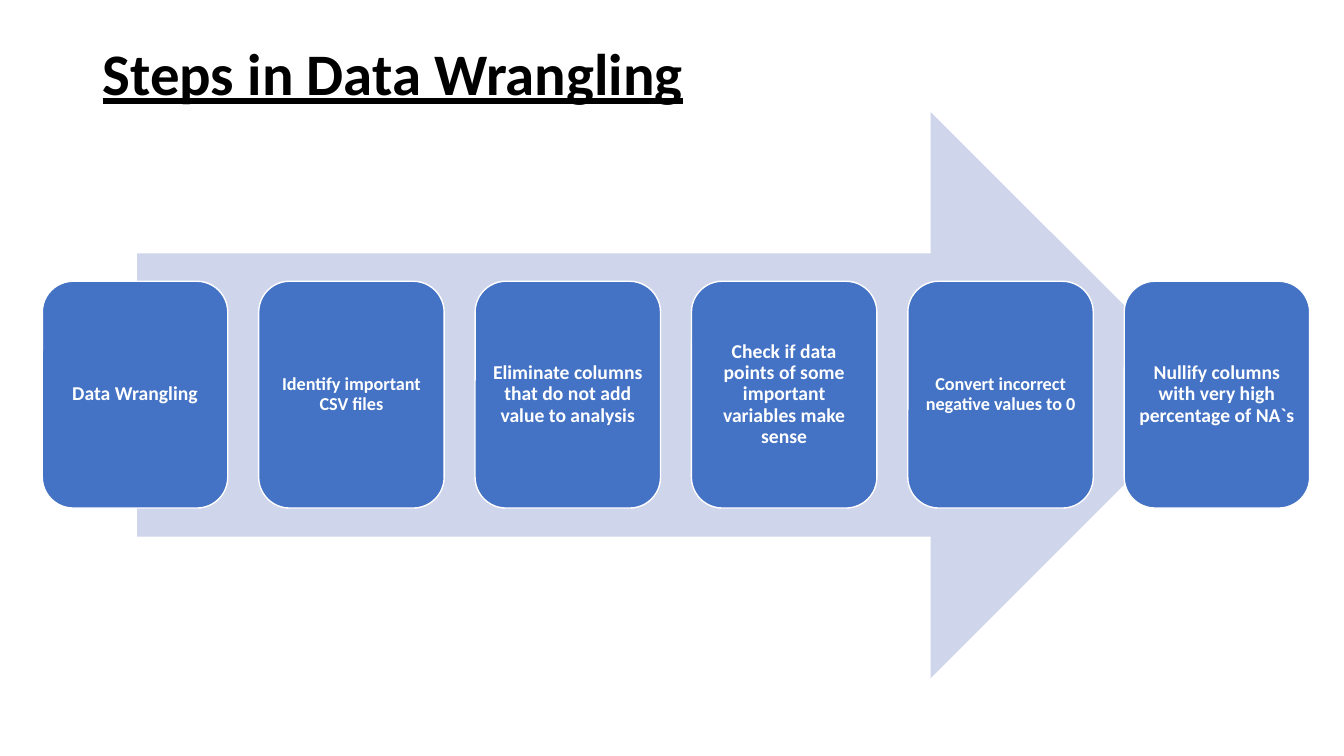
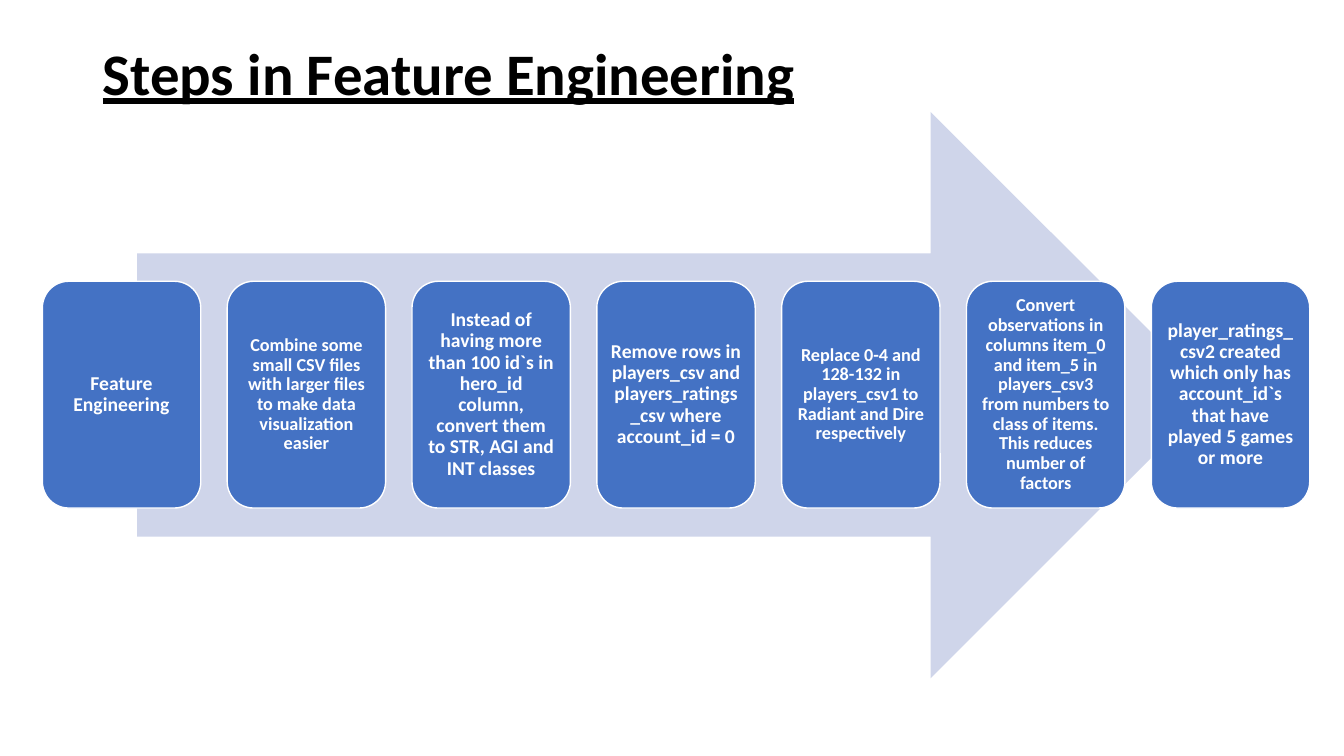
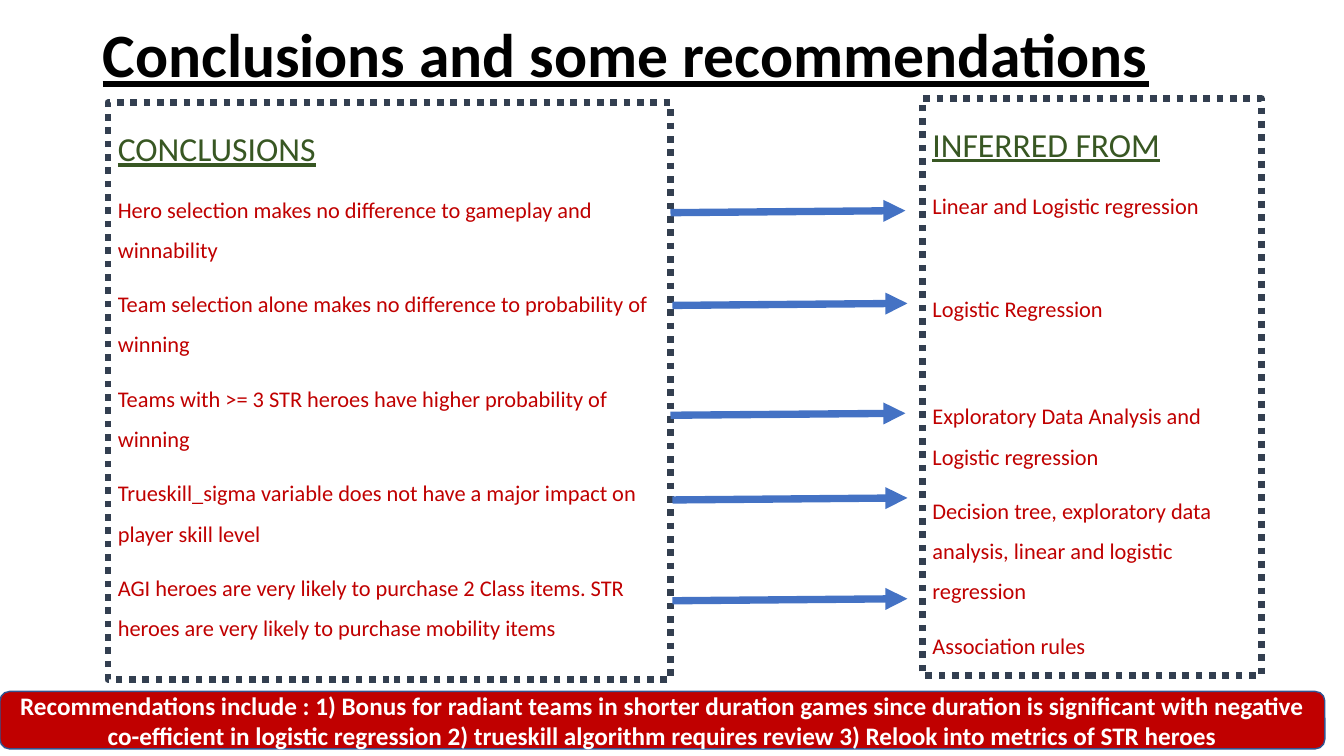
import pptx
import pptx.util
import pptx.dml.color
import pptx.enum.dml
import pptx.enum.shapes
import pptx.enum.text
import pptx.oxml.ns
import lxml.etree

SHAPE = pptx.enum.shapes.MSO_SHAPE
ALIGN = pptx.enum.text.PP_ALIGN
ANCHOR = pptx.enum.text.MSO_ANCHOR

# Content: each step is (text, type size name)
FLOWS = [
    ("Steps in Data Wrangling", [
        ("Data Wrangling", "step"),
        ("Identify important CSV files", "small"),
        ("Eliminate columns that do not add value to analysis", "step"),
        ("Check if data points of some important variables make sense", "step"),
        ("Convert incorrect negative values to 0", "small"),
        ("Nullify columns with very high percentage of NA`s", "step"),
    ]),
    ("Steps in Feature Engineering", [
        ("Feature Engineering", "step"),
        ("Combine some small CSV files with larger files to make data "
         "visualization easier", "small"),
        ("Instead of having more than 100 id`s in hero_id column, convert "
         "them to STR, AGI and INT classes", "step"),
        ("Remove rows in players_csv and players_ratings_csv where "
         "account_id = 0", "step"),
        ("Replace 0-4 and 128-132 in players_csv1 to Radiant and Dire "
         "respectively", "small"),
        ("Convert observations in columns item_0 and item_5 in players_csv3 "
         "from numbers to class of items. This reduces number of factors",
         "small"),
        ("player_ratings_csv2 created which only has account_id`s that have "
         "played 5 games or more", "step"),
    ]),
]

CLOSING = "Conclusions and some recommendations"
# Panels: box, heading, then (text, space before in points)
PANELS = [
    ((107, 102, 558, 572), "CONCLUSIONS", [
        ("Hero selection makes no difference to gameplay and winnability", 10),
        ("Team selection alone makes no difference to probability of winning", 10),
        ("Teams with >= 3 STR heroes have higher probability of winning", 10),
        ("Trueskill_sigma variable does not have a major impact on player "
         "skill level", 10),
        ("AGI heroes are very likely to purchase 2 Class items. STR heroes "
         "are very likely to purchase mobility items", 10),
    ]),
    ((915, 98, 336, 572), "INFERRED FROM", [
        ("Linear and Logistic regression", 10),
        ("Logistic Regression", 45),
        ("Exploratory Data Analysis and Logistic regression", 48),
        ("Decision tree, exploratory data analysis, linear and logistic "
         "regression", 10),
        ("Association rules", 10),
    ]),
]
ARROWS = [(665, 211), (667, 303), (665, 412), (667, 496), (667, 596)]
ADVICE = ("Recommendations include : 1) Bonus for radiant teams in shorter "
          "duration games since duration is significant with negative "
          "co-efficient in logistic regression 2) trueskill algorithm "
          "requires review 3) Relook into metrics of STR heroes")

# Theme and layout; 100 px to the inch
THEME = {
    "font": "Calibri",
    "ink": "000000", "white": "FFFFFF", "blue": "4472C4", "pale": "CFD5EA",
    "slate": "333F50", "green": "385723", "red": "C00000", "edge": "325491",
    "size": {"title": 42, "close": 44, "head": 24, "bar": 18, "body": 16,
             "step": 14, "small": 13},
}
TITLE = (92, 3, 1150, 145)
CLOSE = (92, -15, 1150, 145)
BACK = (136, 111, 1068, 562)
ROW = (42, 279, 1257, 225)
BAR = (0, 686, 1314, 57)
REACH, RISE = 233, 2


def px(num):
    return pptx.util.Emu(round(num * 9144))


def color(name):
    return pptx.dml.color.RGBColor.from_string(THEME[name])


def style(para, size, tint, bold=False, under=False, align=ALIGN.LEFT,
          lead=None, before=None):
    font = para.font
    font.name = THEME["font"]
    font.size = pptx.util.Pt(THEME["size"][size])
    font.color.rgb = color(tint)
    font.bold, font.underline = bold, under
    para.alignment = align
    if lead:
        para.line_spacing = lead
    if before is not None:
        para.space_before = pptx.util.Pt(before)


def shape(slide, kind, box, fill=None, line=None, width=1):
    item = slide.shapes.add_shape(kind, *map(px, box))
    item.shadow.inherit = False
    if fill:
        item.fill.solid()
        item.fill.fore_color.rgb = color(fill)
    else:
        item.fill.background()
    if line:
        item.line.color.rgb = color(line)
        item.line.width = pptx.util.Pt(width)
    else:
        item.line.fill.background()
    return item


def label(item, text, size, tint, **look):
    frame = item.text_frame
    frame.word_wrap = True
    frame.vertical_anchor = ANCHOR.MIDDLE
    frame.text = text
    style(frame.paragraphs[0], size, tint, bold=True, **look)
    return frame


def start(deck, text, box=TITLE, size="title"):
    slide = deck.slides.add_slide(deck.slide_layouts[6])
    item = slide.shapes.add_textbox(*map(px, box))
    label(item, text, size, "ink", under=True, lead=0.9)
    return slide


def flow(deck, title, steps):
    slide = start(deck, title)
    shape(slide, SHAPE.RIGHT_ARROW, BACK, "pale")
    # Gaps are one sixth of a step's width
    left, top, span, high = ROW
    count = len(steps)
    wide = span / (count + (count - 1) / 6)
    for i, (text, size) in enumerate(steps):
        box = (left + i * wide * 7 / 6, top, wide, high)
        item = shape(slide, SHAPE.ROUNDED_RECTANGLE, box, "blue", "white")
        frame = label(item, text, size, "white", align=ALIGN.CENTER, lead=0.9)
        pad = px(6 if size == "step" else 5)
        frame.margin_left = frame.margin_right = pad
        frame.margin_top = frame.margin_bottom = pad


def panel(slide, box, head, lines):
    item = shape(slide, SHAPE.RECTANGLE, box, None, "slate", 4.75)
    item.line.dash_style = pptx.enum.dml.MSO_LINE.ROUND_DOT
    frame = item.text_frame
    frame.word_wrap = True
    frame.vertical_anchor = ANCHOR.TOP
    frame.text = "\n".join([head] + [text for text, gap in lines])
    first, *rest = frame.paragraphs
    style(first, "head", "green", under=True, lead=1.5, before=10)
    for para, (text, gap) in zip(rest, lines):
        style(para, "body", "red", lead=1.5, before=gap)


def arrow(slide, x, y):
    ends = map(px, (x, y, x + REACH, y - RISE))
    item = slide.shapes.add_connector(
        pptx.enum.shapes.MSO_CONNECTOR.STRAIGHT, *ends)
    item.line.color.rgb = color("blue")
    item.line.width = pptx.util.Pt(5.25)
    qn = pptx.oxml.ns.qn
    lxml.etree.SubElement(item.line._get_or_add_ln(), qn("a:tailEnd"),
                          type="triangle")
    lxml.etree.SubElement(item._element.spPr, qn("a:effectLst"))


def close(deck):
    slide = start(deck, CLOSING, CLOSE, "close")
    for box, head, lines in PANELS:
        panel(slide, box, head, lines)
    for x, y in ARROWS:
        arrow(slide, x, y)
    bar = shape(slide, SHAPE.ROUNDED_RECTANGLE, BAR, "red", "edge")
    label(bar, ADVICE, "bar", "white", align=ALIGN.CENTER)


def main():
    deck = pptx.Presentation()
    deck.slide_width, deck.slide_height = px(1333), px(750)
    for title, steps in FLOWS:
        flow(deck, title, steps)
    close(deck)
    deck.save("out.pptx")


if __name__ == "__main__":
    main()
